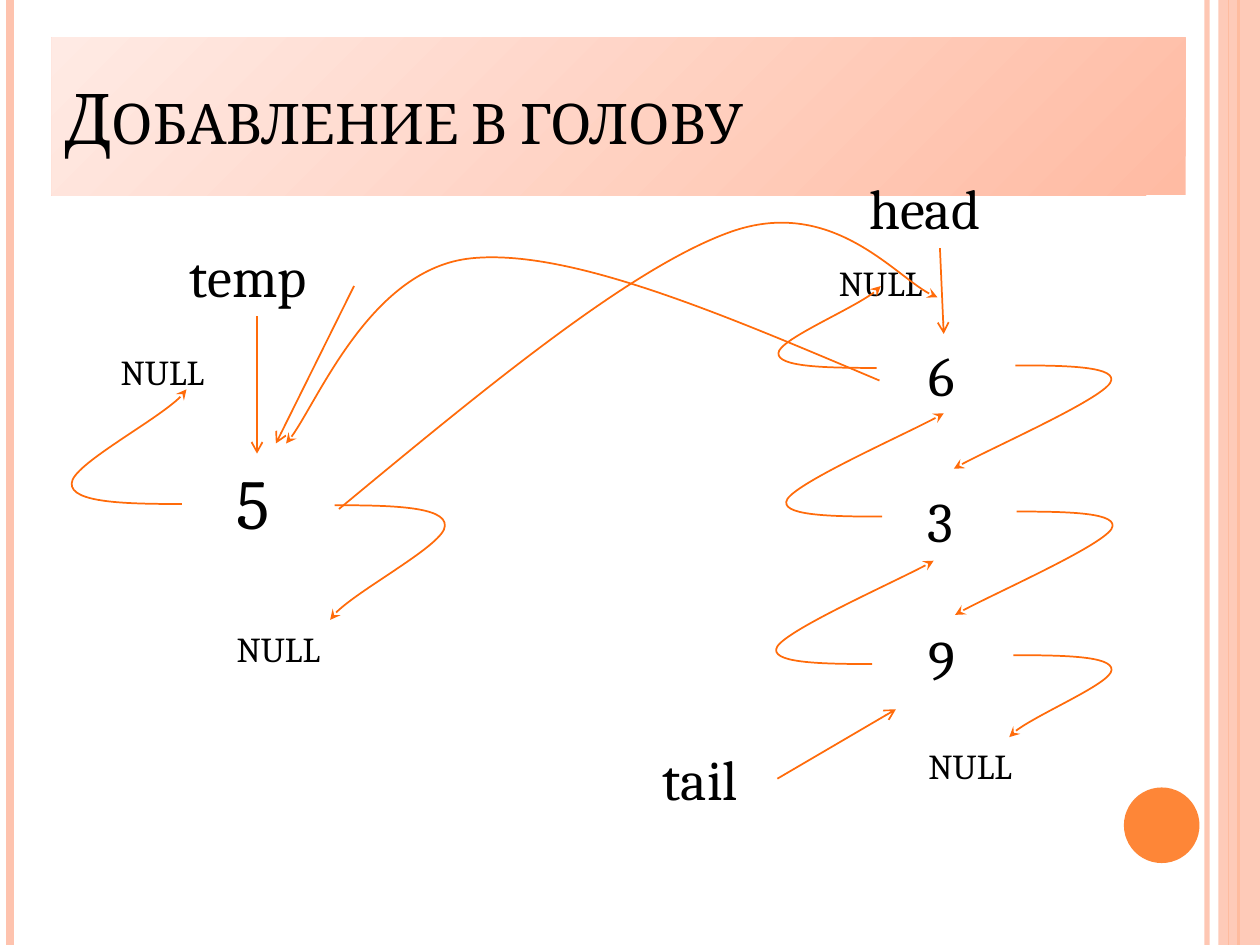
from dataclasses import dataclass

from lxml import etree
from pptx import Presentation
from pptx.dml.color import RGBColor
from pptx.enum.shapes import MSO_CONNECTOR, MSO_SHAPE
from pptx.enum.text import MSO_ANCHOR, MSO_AUTO_SIZE, PP_ALIGN
from pptx.oxml.ns import qn
from pptx.util import Inches, Pt

STRAIGHT = MSO_CONNECTOR.STRAIGHT
RECT, OVAL = MSO_SHAPE.RECTANGLE, MSO_SHAPE.OVAL
MIDDLE, LEFT, NO_FIT = MSO_ANCHOR.MIDDLE, PP_ALIGN.LEFT, MSO_AUTO_SIZE.NONE


@dataclass(frozen=True)
class Theme:
    font: str = "Cambria"
    ink: str = "000000"
    accent: str = "FE8637"
    pale: str = "FEC3AE"
    link: str = "FF6B0A"
    band_dark: str = "FFBBA3"
    band_light: str = "FFEAE4"
    big: int = 40
    label: int = 32
    small: int = 20


T = Theme()
W, H = 10, 7.5  # slide size, inches

# Content
TITLE = "Добавление в голову"
TITLE_BOX = (0.41, 0.3, 9, 1.25)

# text, left, top, width, height, size
LABELS = [
    ("temp", 1.41, 1.87, 1.26, 0.64, T.label),
    ("head", 6.8, 1.33, 1.33, 0.64, T.label),
    ("tail", 5.16, 5.86, 1.02, 0.64, T.label),
    ("5", 1.78, 3.6, 0.51, 0.77, T.big),
    ("6", 7.27, 2.65, 0.45, 0.64, T.label),
    ("3", 7.26, 3.81, 0.45, 0.64, T.label),
    ("9", 7.27, 4.91, 0.45, 0.64, T.label),
    ("NULL", 0.86, 2.73, 1.33, 0.44, T.small),
    ("NULL", 1.78, 4.93, 1.33, 0.44, T.small),
    ("NULL", 6.56, 2.03, 1.18, 0.31, T.small),
    ("NULL", 7.27, 5.86, 1.18, 0.31, T.small),
]

# Hook outlines as shares of their box: a start, then Bezier triples
NULL_HOOK = [(0.04, 0), (0.52, 0), (1, 0.01), (0.99, 0.18),
             (0.99, 0.34), (0.1, 0.81), (0, 1)]
NODE_HOOK = [(0.37, 0), (0.68, 0), (1, 0.01), (0.94, 0.17),
             (0.87, 0.34), (0.13, 0.87), (0, 1)]

# outline, left, top, width, height, turned half round (previous links)
HOOKS = [
    (NULL_HOOK, 2.62, 4.01, 0.92, 0.91, False),
    (NULL_HOOK, 0.56, 3.09, 0.92, 0.91, True),
    (NULL_HOOK, 8.01, 5.2, 0.82, 0.65, False),
    (NULL_HOOK, 6.17, 2.27, 0.82, 0.65, True),
    (NODE_HOOK, 7.57, 2.9, 1.32, 0.82, False),
    (NODE_HOOK, 7.58, 4.06, 1.32, 0.82, False),
    (NODE_HOOK, 6.17, 3.28, 1.32, 0.82, True),
    (NODE_HOOK, 6.09, 4.45, 1.32, 0.82, True),
]

# New links between the added node and the old head
LONG_LINKS = [
    [(2.69, 4.04), (3.85, 3.08), (5.01, 2.12), (5.8, 1.84),
     (6.59, 1.56), (7.17, 2.27), (7.44, 2.36)],
    [(6.98, 3.02), (5.75, 2.5), (4.52, 1.97), (3.74, 2.05),
     (2.95, 2.13), (2.47, 3.31), (2.27, 3.52)],
]

# Straight pointers: x1, y1, x2, y2
POINTERS = [
    (2.04, 2.51, 2.04, 3.6),
    (7.46, 1.97, 7.49, 2.65),
    (6.17, 6.18, 7.11, 5.63),
    (2.81, 2.27, 2.19, 3.52),
]

# Full-height rules: x, colour, width, opacity in percent
RULES = [(9.58, T.pale, 3, 93), (0.08, T.pale, 4.5, 100),
         (9.83, T.accent, 1.5, 100), (9.75, T.accent, 0.75, 100)]

# Solid decoration: shape, box, colour, opacity in percent
DECOR = [(RECT, (9.67, 0, 0.33, H), T.pale, 87),
         (OVAL, (8.92, 6.25, 0.6, 0.6), T.accent, 100)]


def rgb(colour):
    return RGBColor.from_string(colour)


def emu(*values):
    return [Inches(v) for v in values]


def set_opacity(parent, percent):
    if percent < 100:
        clr = next(parent.iter(qn("a:srgbClr")))
        etree.SubElement(clr, qn("a:alpha")).set("val", str(percent * 1000))


def style_line(line, colour, width, head=None, opacity=100):
    line.color.rgb = rgb(colour)
    line.width = Pt(width)
    ln = line._get_or_add_ln()
    set_opacity(ln, opacity)
    if head:
        etree.SubElement(ln, qn("a:tailEnd")).set("type", head)


def write(tf, text, size, small_caps=False, wrap=True):
    tf.word_wrap = wrap
    tf.auto_size = NO_FIT
    p = tf.paragraphs[0]
    p.alignment = LEFT
    r = p.add_run()
    r.text = text
    r.font.name, r.font.size, r.font.color.rgb = T.font, Pt(size), rgb(T.ink)
    if small_caps:
        r._r.get_or_add_rPr().set("cap", "small")


def add_line(shapes, x1, y1, x2, y2, colour, width, **fmt):
    c = shapes.add_connector(STRAIGHT, *emu(x1, y1, x2, y2))
    style_line(c.line, colour, width, **fmt)
    etree.SubElement(c._element.spPr, qn("a:effectLst"))


def add_curve(shapes, points):
    """Draw a cubic Bezier path through a start point and control triples."""
    pts = [emu(*pt) for pt in points]
    builder = shapes.build_freeform(*pts[0], scale=1.0)
    builder.add_line_segments(pts[1:], close=False)
    sp = builder.convert_to_shape()
    path = next(sp._element.iter(qn("a:path")))
    segments = path.findall(qn("a:lnTo"))
    for i in range(0, len(segments), 3):
        curve = etree.SubElement(path, qn("a:cubicBezTo"))
        for seg in segments[i:i + 3]:
            curve.append(seg[0])
            path.remove(seg)
    sp.fill.background()
    sp.shadow.inherit = False
    style_line(sp.line, T.link, 1, head="stealth")


def hook_points(outline, x, y, w, h, turned):
    if turned:
        outline = [(1 - u, 1 - v) for u, v in outline]
    return [(x + u * w, y + v * h) for u, v in outline]


def main():
    prs = Presentation()
    prs.slide_width, prs.slide_height = emu(W, H)
    s = prs.slides.add_slide(prs.slide_layouts[5])
    shapes = s.shapes

    # Side decoration
    for x, colour, width, opacity in RULES:
        add_line(shapes, x, 0, x, H, colour, width, opacity=opacity)
    for kind, box, colour, opacity in DECOR:
        sp = shapes.add_shape(kind, *emu(*box))
        sp.fill.solid()
        sp.fill.fore_color.rgb = rgb(colour)
        set_opacity(sp._element.spPr, opacity)
        sp.line.fill.background()
        sp.shadow.inherit = False

    # Title band
    title = shapes.title
    title.left, title.top, title.width, title.height = emu(*TITLE_BOX)
    title.fill.gradient()
    title.fill.gradient_angle = 135
    for stop, colour in zip(title.fill.gradient_stops, (T.band_dark, T.band_light)):
        stop.color.rgb = rgb(colour)
    title.text_frame.vertical_anchor = MIDDLE
    write(title.text_frame, TITLE, T.big, small_caps=True)

    # Nodes and labels
    for text, x, y, w, h, size in LABELS:
        box = shapes.add_textbox(*emu(x, y, w, h))
        write(box.text_frame, text, size, wrap=len(text) > 1)

    # Links and pointers
    for hook in HOOKS:
        add_curve(shapes, hook_points(*hook))
    for points in LONG_LINKS:
        add_curve(shapes, points)
    for ends in POINTERS:
        add_line(shapes, *ends, T.link, 1, head="arrow")

    prs.save("out.pptx")


if __name__ == "__main__":
    main()
